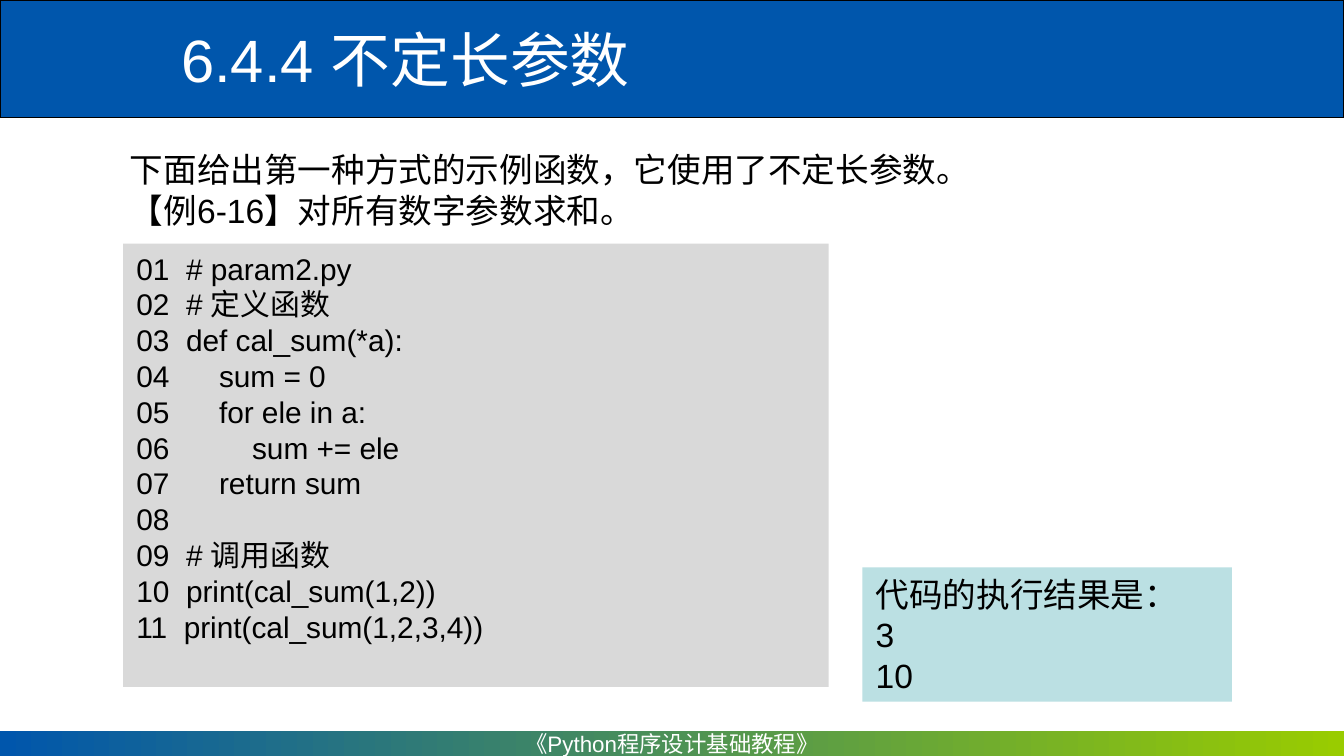
from pptx import Presentation
from pptx.dml.color import RGBColor
from pptx.enum.shapes import MSO_SHAPE
from pptx.enum.text import MSO_ANCHOR, PP_ALIGN
from pptx.util import Pt

COLORS = {
    "blue": "0056AC",
    "green": "99CC00",
    "gray": "D9D9D9",
    "teal": "BBE0E3",
    "black": "000000",
    "white": "FFFFFF",
}
FONT = "Arial"
WIDTH, HEIGHT = 720, 405
BANNER_HEIGHT, FOOTER_HEIGHT = 63, 13.5

TITLE = "6.4.4 不定长参数"
FOOTER = "《Python程序设计基础教程》"
INTRO = [
    "下面给出第一种方式的示例函数，它使用了不定长参数。",
    "【例6-16】对所有数字参数求和。",
]
CODE = [
    "# param2.py",
    "# 定义函数",
    "def cal_sum(*a):",
    "    sum = 0",
    "    for ele in a:",
    "        sum += ele",
    "    return sum",
    "",
    "# 调用函数",
    "print(cal_sum(1,2))",
    "print(cal_sum(1,2,3,4))",
]
RESULT = ["代码的执行结果是：", "3", "10"]


def color(name):
    return RGBColor.from_string(COLORS[name])


def add_panel(slide, box, fill=None):
    shape = slide.shapes.add_shape(MSO_SHAPE.RECTANGLE, *map(Pt, box))
    shape.shadow.inherit = False
    shape.line.fill.background()
    if fill:
        shape.fill.solid()
        shape.fill.fore_color.rgb = color(fill)
    return shape


def add_text_box(slide, box):
    return slide.shapes.add_textbox(*map(Pt, box))


def write(shape, lines, size, text_color="black", anchor=MSO_ANCHOR.TOP,
          align=PP_ALIGN.LEFT, wrap=True):
    frame = shape.text_frame
    frame.word_wrap = wrap
    frame.vertical_anchor = anchor
    for index, line in enumerate(lines):
        paragraph = frame.add_paragraph() if index else frame.paragraphs[0]
        paragraph.alignment = align
        run = paragraph.add_run()
        run.text = line
        run.font.name = FONT
        run.font.size = Pt(size)
        run.font.color.rgb = color(text_color)


def main():
    presentation = Presentation()
    presentation.slide_width, presentation.slide_height = Pt(WIDTH), Pt(HEIGHT)
    slide = presentation.slides.add_slide(presentation.slide_layouts[6])

    # Title banner
    banner = add_panel(slide, (0, 0, WIDTH, BANNER_HEIGHT), "blue")
    banner.line.color.rgb = color("black")
    banner.line.width = Pt(0.75)

    # Gradient footer
    footer = add_panel(slide, (0, HEIGHT - FOOTER_HEIGHT, WIDTH, FOOTER_HEIGHT))
    footer.fill.gradient()
    footer.fill.gradient_angle = 0
    for stop, name in zip(footer.fill.gradient_stops, ("blue", "green")):
        stop.color.rgb = color(name)
    write(footer, [FOOTER], 12, "white", MSO_ANCHOR.MIDDLE, PP_ALIGN.CENTER, wrap=False)

    # Title and introduction
    title = add_text_box(slide, (90, 4.5, WIDTH - 90, 54))
    write(title, [TITLE], 32, "white", MSO_ANCHOR.MIDDLE)
    intro = add_text_box(slide, (62.5, 76.5, 464.5, 50.5))
    write(intro, INTRO, 18, wrap=False)

    # Numbered code listing
    listing = add_panel(slide, (66, 130.5, 378, 237.5), "gray")
    numbered = [f"{number:02d}  {line}".rstrip() for number, line in enumerate(CODE, 1)]
    write(listing, numbered, 16)

    # Program output
    result = add_panel(slide, (462, 304, 198, 72), "teal")
    write(result, RESULT, 18)

    presentation.save("out.pptx")


if __name__ == "__main__":
    main()
